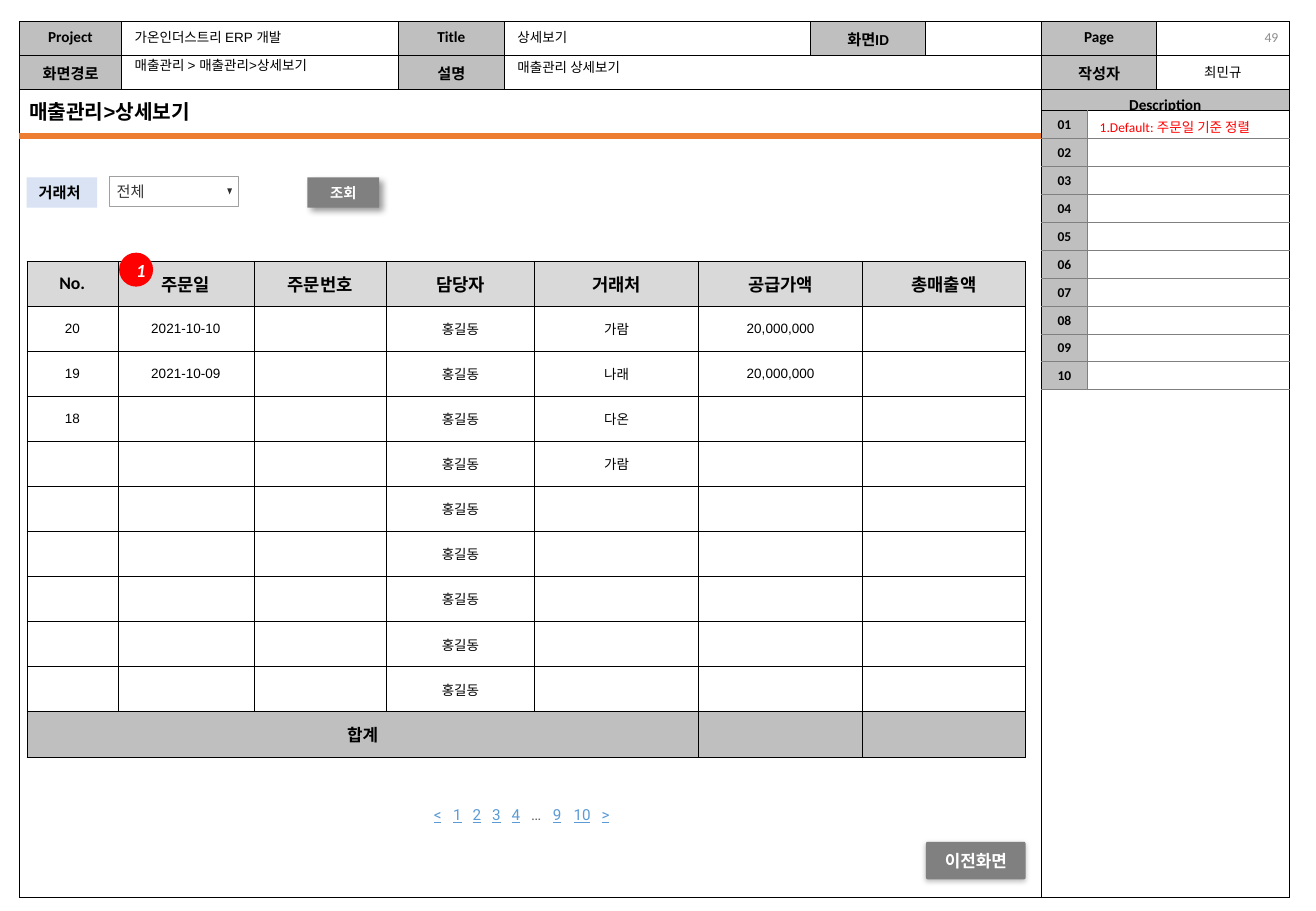
from lxml import etree
from pptx import Presentation
from pptx.dml.color import RGBColor
from pptx.enum import shapes, text
from pptx.oxml.ns import qn
from pptx.util import Inches, Pt

C = dict(black="000000", white="FFFFFF", red="FF0000", label="BFBFBF", head="D9D9D9",
         gray="808080", page="8C8C8C", orange="ED7D31", field="DAE3F3", edge="A0A0A0",
         option="333333", arrow="303030", link="5B9BD5", dots="5F5F5F")

# Content
TITLE = "매출관리>상세보기"
FRAME_COLS = [0.84, 2.28, 0.87, 2.52, 0.95, 0.95, 0.95, 1.09]
FRAME_ROWS = [0.28, 0.28, 0.18, 6.45]
FRAME = [["Project", "", "Title", "", "화면ID", "", "Page", ""],
         ["화면경로", "", "설명", "", "", "", "작성자", "최민규"],
         ["", "", "", "", "", "", "Description", ""],
         [""] * 8]
FRAME_MERGES = [((1, 3), (1, 5)), ((2, 0), (3, 5)), ((2, 6), (2, 7)), ((3, 6), (3, 7))]
AUTHOR = "최민규"
HEADER_VALUES = [  # text, box
    ("가온인더스트리 ERP 개발", (1.01, 0.19, 1.51, 0.24)),
    ("매출관리 > 매출관리>상세보기", (1.01, 0.42, 1.79, 0.24)),
    ("상세보기", (4.16, 0.19, 0.65, 0.24)),
    ("매출관리 상세보기", (4.16, 0.44, 1.14, 0.24))]
NOTES = ["1.Default: 주문일 기준 정렬"] + [""] * 9
ORDER_COLS = [0.75, 1.12, 1.09, 1.22, 1.35, 1.35, 1.34]
ORDER_HEAD = ["No.", "주문일", "주문번호", "담당자", "거래처", "공급가액", "총매출액"]
MANAGER = "홍길동"
ORDERS = [("20", "2021-10-10", "가람", "20,000,000"),
          ("19", "2021-10-09", "나래", "20,000,000"),
          ("18", "", "다온", ""), ("", "", "가람", "")] + [("", "", "", "")] * 5
TOTAL = "합계"
PAGES = [("<", 0), ("1", 0.16), ("2", 0.32), ("3", 0.48), ("4", 0.64),  # text, tab stop
         ("…", 0.8), ("9", 0.98), ("10", 1.15), (">", 1.38)]

prs = Presentation()
prs.slide_width, prs.slide_height = Inches(10.83), Inches(7.5)
slide = prs.slides.add_slide(prs.slide_layouts[5])
LEFT, CENTER, RIGHT = text.PP_ALIGN.LEFT, text.PP_ALIGN.CENTER, text.PP_ALIGN.RIGHT
TOP, MIDDLE = text.MSO_ANCHOR.TOP, text.MSO_ANCHOR.MIDDLE


def rgb(name):
    return RGBColor.from_string(C[name])


def inches(values):
    return [Inches(v) for v in values]


def add_run(p, words, size, font="Arial", color="black", bold=False, italic=False, underline=False):
    r = p.add_run()
    r.text = words
    f = r.font
    f.size, f.name, f.bold, f.italic, f.underline = Pt(size), font, bold, italic, underline
    f.color.rgb = rgb(color)


def write(sp, words, size, align=LEFT, anchor=TOP, wrap=True, insets=None, **style):
    tf = sp.text_frame
    tf.auto_size = text.MSO_AUTO_SIZE.NONE if wrap else text.MSO_AUTO_SIZE.SHAPE_TO_FIT_TEXT
    tf.word_wrap, tf.vertical_anchor = wrap, anchor
    if insets:
        tf.margin_left, tf.margin_top, tf.margin_right, tf.margin_bottom = inches(insets)
    p = tf.paragraphs[0]
    p.alignment = align
    add_run(p, words, size, **style)


def add_text(words, box, size, **style):
    write(slide.shapes.add_textbox(*inches(box)), words, size, **style)


def add_box(kind, box, fill, parent=slide):
    sp = parent.shapes.add_shape(kind, *inches(box))
    sp.shadow.inherit = False
    sp.fill.solid()
    sp.fill.fore_color.rgb = rgb(fill)
    sp.line.fill.background()
    return sp


def add_shadow(sp, alpha, blur, dist, angle):
    effects = sp._element.spPr.find(qn("a:effectLst"))
    shadow = etree.SubElement(effects, qn("a:outerShdw"), blurRad=str(Pt(blur)), dist=str(Pt(dist)),
                              dir=str(angle * 60000), algn="ctr", rotWithShape="0")
    color = etree.SubElement(shadow, qn("a:srgbClr"), val=C["black"])
    etree.SubElement(color, qn("a:alpha"), val=str(alpha * 1000))


def add_grid(left, top, cols, rows):
    frame = slide.shapes.add_table(len(rows), len(cols), *inches((left, top, sum(cols), sum(rows))))
    table = frame.table
    table.first_row = table.horz_banding = False
    for col, width in zip(table.columns, cols):
        col.width = Inches(width)
    for row, height in zip(table.rows, rows):
        row.height = Inches(height)
    return table


def fill_cell(cell, words, size, fill=None, align=CENTER, anchor=TOP, width=0.5,
              edges=("black",) * 4, **style):
    """Edges run left, right, top, bottom."""
    cell.vertical_anchor = anchor
    cell.margin_bottom = Inches(0.05 if anchor == MIDDLE else 0)
    if fill:
        cell.fill.solid()
        cell.fill.fore_color.rgb = rgb(fill)
    else:
        cell.fill.background()
    p = cell.text_frame.paragraphs[0]
    p.alignment = align
    if words:
        add_run(p, words, size, **style)
    else:
        etree.SubElement(p._p, qn("a:endParaRPr"), sz="400")
    tcPr = cell._tc.get_or_add_tcPr()
    for i, (side, color) in enumerate(zip("LRTB", edges)):
        ln = etree.Element(qn("a:ln" + side), w=str(Pt(width)))
        solid = etree.SubElement(ln, qn("a:solidFill"))
        etree.SubElement(solid, qn("a:srgbClr"), val=C[color])
        tcPr.insert(i, ln)


# Page frame
frame = add_grid(0.16, 0.18, FRAME_COLS, FRAME_ROWS)
for i, row in enumerate(FRAME):
    for j, words in enumerate(row):
        is_label = bool(words) and words != AUTHOR
        fill_cell(frame.cell(i, j), words, 9 if is_label else 8,
                  fill="label" if is_label else None, font="Calibri", bold=is_label)
for first, last in FRAME_MERGES:
    frame.cell(*first).merge(frame.cell(*last))

# Header values and page number
for words, box in HEADER_VALUES:
    add_text(words, box, 8, wrap=False)
add_text("49", (8.18, 0.2, 2.44, 0.21), 8.1, align=RIGHT, anchor=MIDDLE,
         font="Calibri", color="page")

# Description list
notes = add_grid(8.57, 0.91, [0.38, 1.66], [0.23] * len(NOTES))
for i, note in enumerate(NOTES):
    top = "gray" if i else "black"
    fill_cell(notes.cell(i, 0), f"{i + 1:02}", 8, fill="label", font="Calibri", bold=True,
              edges=("black", "gray", top, "gray"))
    fill_cell(notes.cell(i, 1), note, 8, fill="white", align=LEFT, font="Calibri", color="red",
              edges=("gray", "black", top, "gray"))

# Title and rule
title = slide.shapes.title
title.left, title.top, title.width, title.height = inches((0.14, 0.77, 1.67, 0.3))
write(title, TITLE, 12, wrap=False, bold=True)
rule = slide.shapes.add_connector(shapes.MSO_CONNECTOR.STRAIGHT, *inches((0.16, 1.12, 8.57, 1.12)))
rule.line.color.rgb = rgb("orange")
rule.line.width = Pt(3)
etree.SubElement(rule._element.spPr, qn("a:effectLst"))

# Order table
orders = add_grid(0.22, 2.15, ORDER_COLS, [0.371] * (len(ORDERS) + 2))
cell_style = dict(anchor=MIDDLE, width=0.25)
for j, words in enumerate(ORDER_HEAD):
    fill_cell(orders.cell(0, j), words, 10.5, fill="head", font="Calibri", bold=True, **cell_style)
    fill_cell(orders.cell(len(ORDERS) + 1, j), "" if j else TOTAL, 10, fill="label", bold=True,
              **cell_style)
for i, (number, date, client, price) in enumerate(ORDERS, 1):
    for j, words in enumerate((number, date, "", MANAGER, client, price, "")):
        fill_cell(orders.cell(i, j), words, 8, **cell_style)
orders.cell(len(ORDERS) + 1, 0).merge(orders.cell(len(ORDERS) + 1, 4))

# Page links
pager = slide.shapes.add_textbox(*inches((3.49, 6.59, 1.75, 0.23)))
tf = pager.text_frame
tf.word_wrap = True
tf.margin_left, tf.margin_top, tf.margin_right, tf.margin_bottom = inches((0.08, 0.04, 0.08, 0.04))
p = tf.paragraphs[0]
tabs = etree.SubElement(p._p.get_or_add_pPr(), qn("a:tabLst"))
for words, stop in PAGES:
    if stop:
        etree.SubElement(tabs, qn("a:tab"), pos=str(Inches(stop)), algn="l")
        add_run(p, "\t", 9, font="Roboto", color="link")
    is_link = words != "…"
    add_run(p, words, 9, font="Roboto", color="link" if is_link else "dots", underline=is_link)

# Marker
RECT = shapes.MSO_SHAPE.RECTANGLE
marker = add_box(shapes.MSO_SHAPE.OVAL, (0.98, 2.08, 0.28, 0.28), "red")
write(marker, "1", 11, align=CENTER, anchor=MIDDLE, font="Calibri", color="white",
      bold=True, italic=True)

# Client filter
label = add_box(RECT, (0.22, 1.46, 0.58, 0.25), "field")
write(label, "거래처", 9, anchor=MIDDLE, wrap=False, bold=True)
dropdown = slide.shapes.add_group_shape()
option = add_box(RECT, (0.9, 1.45, 1.06, 0.25), "white", dropdown)
option.line.color.rgb = rgb("edge")
option.line.width = Pt(0.5)
write(option, "전체", 9, anchor=MIDDLE, insets=(0.06, 0, 0.14, 0), font="Roboto", color="option")
outline = dropdown.shapes.build_freeform(*inches((1.87, 1.55)))
outline.add_line_segments([inches(pt) for pt in ((1.91, 1.55), (1.89, 1.6))], close=True)
arrow = outline.convert_to_shape()
arrow.shadow.inherit = False
arrow.fill.solid()
arrow.fill.fore_color.rgb = rgb("arrow")
arrow.line.fill.background()

# Buttons
button_style = dict(align=CENTER, anchor=MIDDLE, font="Roboto", color="white", bold=True)
search = add_box(RECT, (2.53, 1.46, 0.59, 0.25), "gray")
add_shadow(search, 40, 4, 3, 45)
write(search, "조회", 8.5, insets=(0, 0, 0, 0), **button_style)
back = add_box(shapes.MSO_SHAPE.ROUNDED_RECTANGLE, (7.62, 6.93, 0.82, 0.31), "gray")
back.adjustments[0] = 0.05
add_shadow(back, 25, 3, 1, 90)
write(back, "이전화면", 10, insets=(0.08, 0.05, 0.08, 0.05), **button_style)

prs.save("out.pptx")
